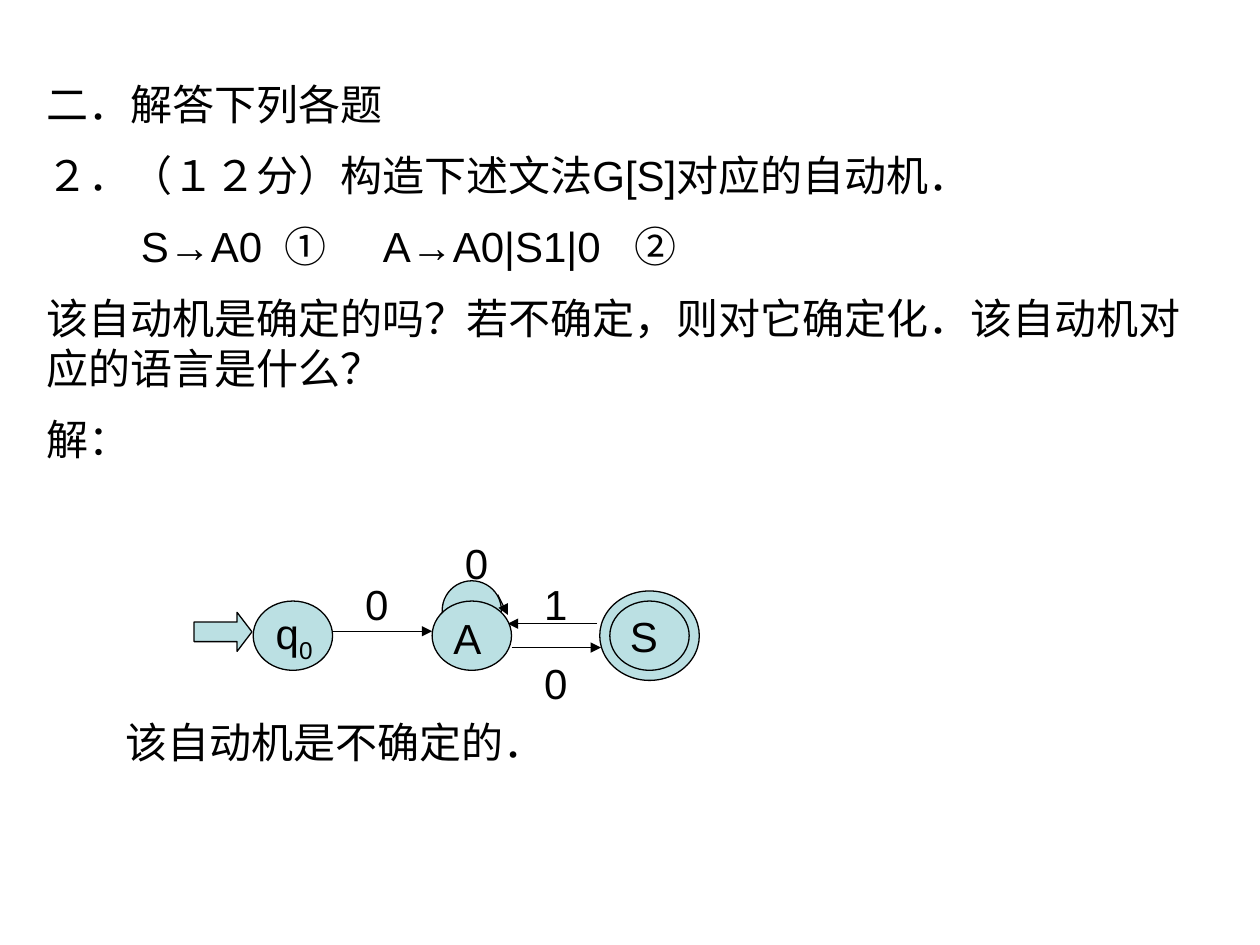
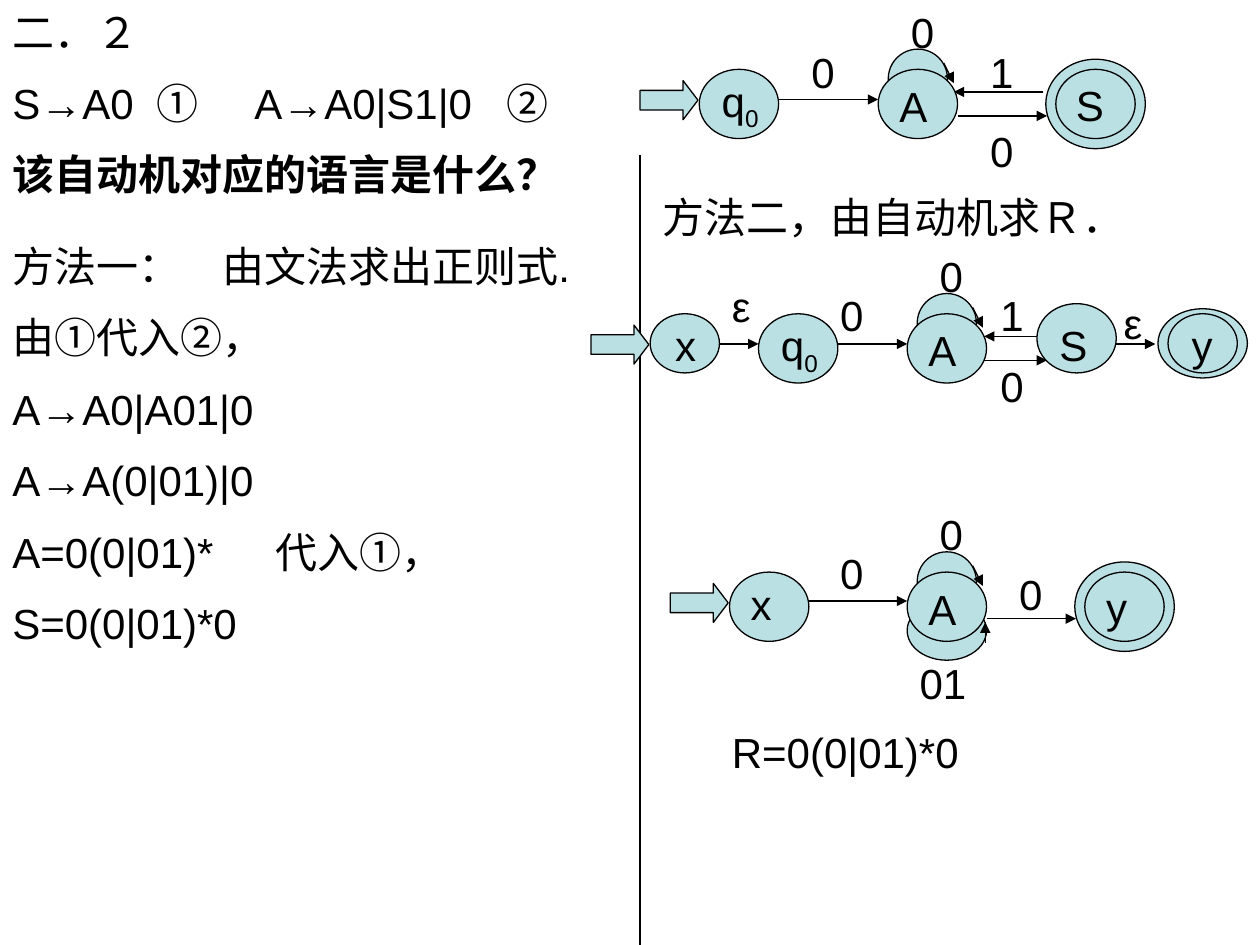
from dataclasses import dataclass

from lxml.etree import SubElement
from pptx import Presentation
from pptx.dml.color import RGBColor
from pptx.enum.shapes import MSO_CONNECTOR, MSO_SHAPE
from pptx.oxml.ns import qn
from pptx.util import Emu, Pt

SCALE = 9144  # 100 px to the inch
BLACK, TEAL = "000000", "BBE0E3"
LATIN, HAN = "Arial", "Noto Sans CJK KR"
SIZE, GAP = 24, 12


@dataclass
class Run:
    text: str
    font: str = LATIN
    bold: bool = False
    sub: bool = False


@dataclass
class Para:
    runs: list[Run]
    tabs: tuple[int, ...] = ()


@dataclass
class Node:
    """A state; dx and dy shift its label, ring is the border of an end state."""
    runs: list[Run]
    x: int
    y: int
    dx: int
    dy: int
    w: int = 63
    h: int = 55
    ring: tuple[int, int] | None = None


@dataclass
class Wire:
    x1: int
    y1: int
    x2: int
    y2: int


@dataclass
class Tag:
    text: str
    x: int
    y: int
    w: int = 39


@dataclass
class Graph:
    """An automaton placed relative to its first state; hub is the looped state A."""
    nodes: list[Node]
    hub: tuple[int, int]
    wires: list[Wire]
    tags: list[Tag]


def px(n: int) -> Emu:
    return Emu(n * SCALE)


def color(code: str) -> RGBColor:
    return RGBColor.from_string(code)


def line(text: str, bold: bool = False, tabs: tuple[int, ...] = ()) -> Para:
    return Para([Run(text, bold=bold)], tabs)


def rules(left: int = 0) -> Para:
    """The two grammar rules, set on tab stops from left."""
    lead = "\t" if left else ""
    stops = tuple(left + n for n in (114, 192, 392))
    return Para([Run(lead + "S→A0\t"), Run("①\t", HAN), Run("A→A0|S1|0\t"), Run("②", HAN)],
                (left, *stops) if left else stops)


def write(slide, x: int, y: int, w: int, h: int, paras: list[Para]) -> None:
    frame = slide.shapes.add_textbox(px(x), px(y), px(w), px(h)).text_frame
    frame.word_wrap = True
    for i, para in enumerate(paras):
        block = frame.paragraphs[0] if i == 0 else frame.add_paragraph()
        block.space_before = Pt(GAP if i else 0)
        if para.tabs:
            stops = SubElement(block._p.get_or_add_pPr(), qn("a:tabLst"))
            for stop in para.tabs:
                SubElement(stops, qn("a:tab"), pos=str(px(stop)), algn="l")
        for item in para.runs:
            run = block.add_run()
            run.text = item.text
            font = run.font
            font.name, font.size, font.bold = item.font, Pt(SIZE), item.bold
            font.color.rgb = color(BLACK)
            if item.sub:
                run._r.get_or_add_rPr().set("baseline", "-25000")


def shape(slide, kind: MSO_SHAPE, x: int, y: int, w: int, h: int):
    form = slide.shapes.add_shape(kind, px(x), px(y), px(w), px(h))
    form.shadow.inherit = False
    form.fill.solid()
    form.fill.fore_color.rgb = color(TEAL)
    form.line.color.rgb = color(BLACK)
    form.line.width = Pt(0.75)
    return form


def oval(slide, x: int, y: int, w: int, h: int) -> None:
    shape(slide, MSO_SHAPE.OVAL, x, y, w, h)


def wire(slide, x1: int, y1: int, x2: int, y2: int, head: bool = True) -> None:
    link = slide.shapes.add_connector(MSO_CONNECTOR.STRAIGHT, px(x1), px(y1), px(x2), px(y2))
    link.line.color.rgb = color(BLACK)
    link.line.width = Pt(0.75)
    if head:
        SubElement(link.line._get_or_add_ln(), qn("a:tailEnd"), type="triangle")
    SubElement(link._element.spPr, qn("a:effectLst"))


def tag(slide, text: str, x: int, y: int, w: int = 39) -> None:
    write(slide, x, y, w, 50, [line(text)])


def state(slide, node: Node, x: int, y: int) -> None:
    left, top = x + node.x, y + node.y
    if node.ring:
        rx, ry = node.ring
        oval(slide, left - rx, top - ry, node.w + 2 * rx, node.h + 2 * ry)
    oval(slide, left, top, node.w, node.h)
    write(slide, left + node.dx, top + node.dy, 63, 50, [Para(node.runs)])


def loop(slide, x: int, y: int) -> None:
    """State A with its own 0 loop above."""
    oval(slide, x + 8, y - 16, 47, 47)
    state(slide, Node([Run("A")], 0, 0, 7, 4), x, y)
    wire(slide, x + 52, y - 5, x + 60, y + 11)
    tag(slide, "0", x + 16, y - 55)


def draw(slide, graph: Graph, x: int, y: int) -> None:
    for w in graph.wires:
        wire(slide, x + w.x1, y + w.y1, x + w.x2, y + w.y2)
    entry = shape(slide, MSO_SHAPE.RIGHT_ARROW, x - 47, y + 9, 46, 31)
    entry.adjustments[0], entry.adjustments[1] = 0.5, 0.38
    for node in graph.nodes:
        state(slide, node, x, y)
    loop(slide, x + graph.hub[0], y + graph.hub[1])
    for t in graph.tags:
        tag(slide, t.text, x + t.x, y + t.y, t.w)


START = [Run("q"), Run("0", sub=True)]
RING = (8, 8)

BASE = Graph(
    [Node(START, 0, 0, 8, 0), Node([Run("S")], 283, 0, 6, 3, ring=RING)],
    (142, 0),
    [Wire(63, 24, 142, 24), Wire(205, 37, 276, 37), Wire(273, 18, 202, 18)],
    [Tag("0", 79, -23), Tag("0", 221, 40), Tag("1", 221, -23)],
)
WIDE = Graph(
    [Node([Run("x")], 0, 0, 10, 0, 55, 47), Node(START, 86, 0, 8, 0),
     Node([Run("S")], 307, -8, 8, 8),
     Node([Run("y")], 411, 0, 9, 0, 55, 47, (8, 4))],
    (204, 0),
    [Wire(55, 24, 86, 24), Wire(126, 24, 204, 24), Wire(244, 37, 315, 37),
     Wire(336, 18, 265, 18), Wire(370, 24, 401, 24)],
    [Tag("ε", 55, -31, 32), Tag("0", 141, -24), Tag("1", 268, -24),
     Tag("0", 268, 32), Tag("ε", 366, -18, 32)],
)
SHORT = Graph(
    [Node([Run("x")], 0, 0, 7, 0), Node([Run("y")], 282, 0, 7, 3, ring=RING)],
    (141, 0),
    [Wire(63, 23, 141, 23), Wire(204, 37, 275, 37), Wire(203, 56, 203, 40)],
    [Tag("0", 78, -24), Tag("0", 220, -8), Tag("01", 141, 63, 63)],
)


def task(slide) -> None:
    write(slide, 27, 57, 945, 332, [
        line("二．解答下列各题"),
        line("２．（１２分）构造下述文法G[S]对应的自动机．"),
        rules(75),
        line("该自动机是确定的吗？若不确定，则对它确定化．该自动机对应的语言是什么？"),
        line("解："),
    ])
    draw(slide, BASE, 201, 477)
    write(slide, 90, 564, 567, 50, [line("该自动机是不确定的．")])


def answer(slide) -> None:
    write(slide, 0, 0, 973, 170, [
        line("二．２"), rules(), line("该自动机对应的语言是什么？", bold=True)])
    draw(slide, BASE, 555, 55)
    write(slide, 0, 186, 524, 409, [
        line("方法一：　由文法求出正则式."),
        line("由①代入②，"),
        line("A→A0|A01|0"),
        line("A→A(0|01)|0"),
        line("A=0(0|01)*\t代入①，", tabs=(209,)),
        line("S=0(0|01)*0"),
    ])
    write(slide, 516, 147, 394, 50, [line("方法二，由自动机求Ｒ．")])
    wire(slide, 508, 123, 508, 750, head=False)
    draw(slide, WIDE, 516, 249)
    oval(slide, 720, 477, 63, 47)
    draw(slide, SHORT, 579, 454)
    write(slide, 571, 572, 362, 150, [line("R=0(0|01)*0")])


def main() -> None:
    deck = Presentation()
    deck.slide_width, deck.slide_height = px(1000), px(750)
    blank = deck.slide_layouts[6]
    for build in (task, answer):
        build(deck.slides.add_slide(blank))
    deck.save("out.pptx")


if __name__ == "__main__":
    main()
